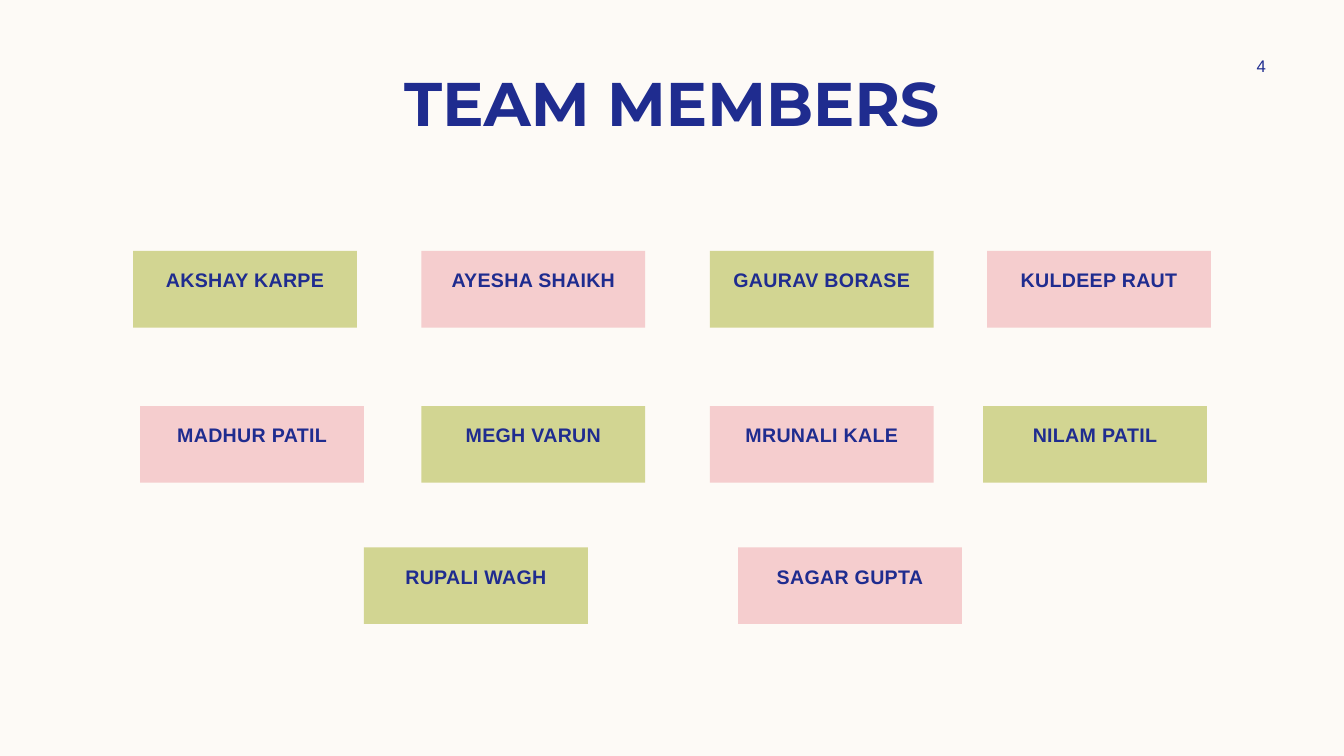
"""Build the team members slide."""
from dataclasses import dataclass

from pptx import Presentation
from pptx.dml.color import RGBColor
from pptx.enum.shapes import MSO_SHAPE
from pptx.enum.text import MSO_ANCHOR, PP_ALIGN
from pptx.shapes.autoshape import Shape
from pptx.slide import Slide
from pptx.util import Inches, Pt

RECT = MSO_SHAPE.RECTANGLE
TOP = MSO_ANCHOR.TOP
MIDDLE = MSO_ANCHOR.MIDDLE
CENTER = PP_ALIGN.CENTER

CREAM = RGBColor(0xFD, 0xFA, 0xF6)
NAVY = RGBColor(0x1F, 0x2C, 0x8F)
GREEN = RGBColor(0xD2, 0xD5, 0x92)
PINK = RGBColor(0xF5, 0xCD, 0xCE)
FILLS = (GREEN, PINK)

CARD_W, CARD_H = 2.22, 0.76


@dataclass(frozen=True)
class Style:
    size: float
    face: str = "Arial"
    bold: bool = False
    space: int = 0


@dataclass(frozen=True)
class Row:
    top: float
    cards: tuple[tuple[float, str], ...]


TITLE = Style(44, "Montserrat", True)
NUMBER = Style(12)
NAME = Style(14, bold=True, space=20)

ROWS = (
    Row(2.49, ((1.32, "AKSHAY KARPE"), (4.18, "AYESHA SHAIKH"),
               (7.04, "GAURAV BORASE"), (9.79, "KULDEEP RAUT"))),
    Row(4.03, ((1.39, "MADHUR PATIL"), (4.18, "MEGH VARUN"),
               (7.04, "MRUNALI KALE"), (9.75, "NILAM PATIL"))),
    Row(5.43, ((3.61, "RUPALI WAGH"), (7.32, "SAGAR GUPTA"))),
)


def write(shape: Shape, text: str, style: Style, anchor: MSO_ANCHOR) -> None:
    """Put one centred run of text in a shape."""
    frame = shape.text_frame
    frame.word_wrap = True
    frame.vertical_anchor = anchor
    para = frame.paragraphs[0]
    para.alignment = CENTER
    run = para.add_run()
    run.text = text
    run.font.size = Pt(style.size)
    run.font.name = style.face
    run.font.bold = style.bold
    run.font.color.rgb = NAVY
    if style.space:
        run._r.get_or_add_rPr().set("spc", str(style.space))


def add_label(slide: Slide, box: tuple[float, ...], text: str, style: Style) -> None:
    """Add a plain text box."""
    label = slide.shapes.add_textbox(*map(Inches, box))
    write(label, text, style, MIDDLE)


def add_card(slide: Slide, left: float, top: float, name: str, fill: RGBColor) -> None:
    """Add a filled card with a member name."""
    box = map(Inches, (left, top, CARD_W, CARD_H))
    card = slide.shapes.add_shape(RECT, *box)
    card.shadow.inherit = False
    card.fill.solid()
    card.fill.fore_color.rgb = fill
    card.line.fill.background()
    frame = card.text_frame
    frame.margin_left = frame.margin_right = 0
    frame.margin_top = Inches(0.17)
    frame.margin_bottom = Inches(0.05)
    write(card, name, NAME, TOP)


def main() -> None:
    """Draw the slide and save it."""
    deck = Presentation()
    deck.slide_width = Inches(13.33)
    deck.slide_height = Inches(7.5)
    slide = deck.slides.add_slide(deck.slide_layouts[6])
    slide.background.fill.solid()
    slide.background.fill.fore_color.rgb = CREAM

    add_label(slide, (0.83, 0.59, 11.67, 0.84), "TEAM MEMBERS", TITLE)
    add_label(slide, (11.97, 0.5, 1.08, 0.3), "4", NUMBER)
    for i, row in enumerate(ROWS):
        for j, (left, name) in enumerate(row.cards):
            add_card(slide, left, row.top, name, FILLS[(i + j) % 2])
    deck.save("out.pptx")


if __name__ == "__main__":
    main()
